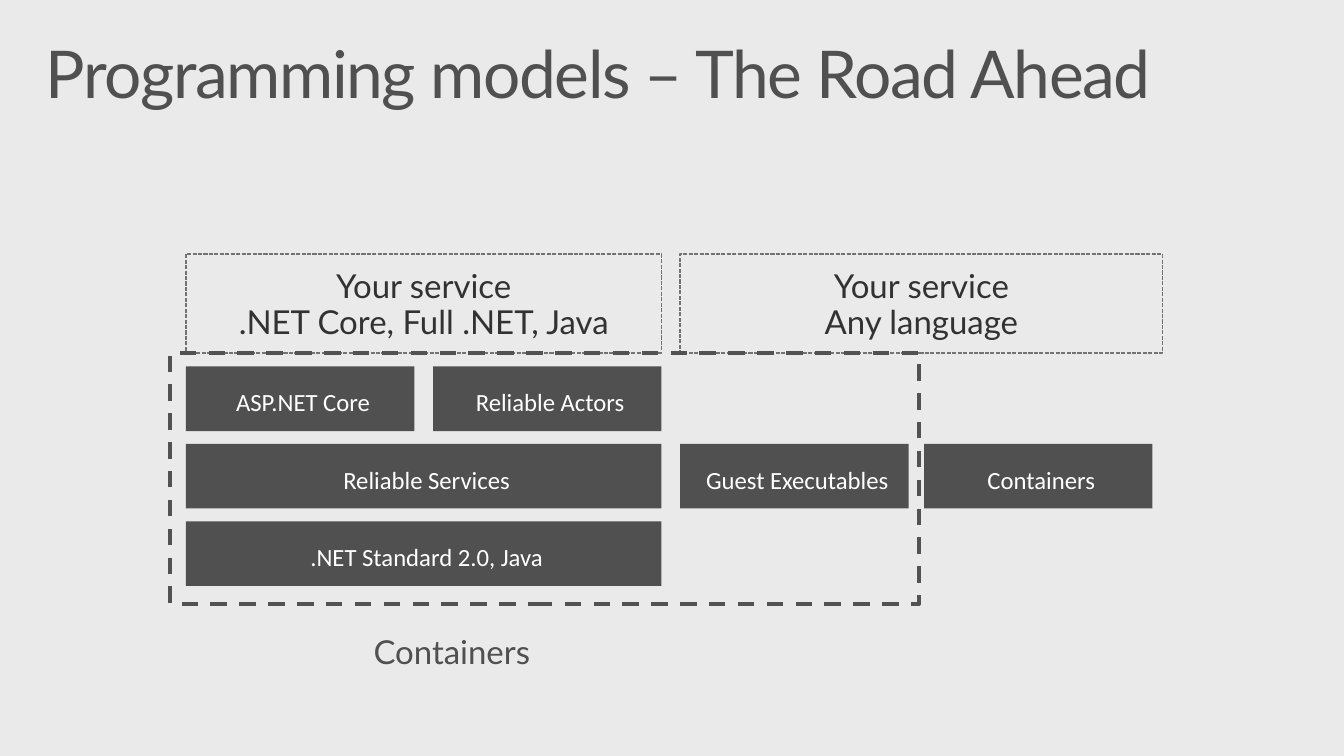
import pptx
import pptx.util
import pptx.dml.color
import pptx.enum.dml
import pptx.enum.shapes
import pptx.enum.text

Cm = pptx.util.Cm
Pt = pptx.util.Pt
ALIGN = pptx.enum.text.PP_ALIGN
ANCHOR = pptx.enum.text.MSO_ANCHOR
DASH = pptx.enum.dml.MSO_LINE

COLORS = {
    "background": "EAEAEA",
    "block": "505050",
    "block text": "FFFFFF",
    "service line": "737373",
    "service text": "323232",
    "frame line": "525252",
    "heading": "505050",
}


def rgb(name):
    return pptx.dml.color.RGBColor.from_string(COLORS[name])


def write(box, lines, font, size, color, insets, align, anchor=ANCHOR.TOP, spacing=None):
    frame = box.text_frame
    frame.word_wrap = True
    frame.vertical_anchor = anchor
    frame.margin_left, frame.margin_top, frame.margin_right, frame.margin_bottom = map(Cm, insets)
    for number, line in enumerate(lines):
        para = frame.paragraphs[0] if number == 0 else frame.add_paragraph()
        para.alignment = align
        para.line_spacing = spacing
        span = para.add_run()
        span.text = line
        span.font.name = font
        span.font.size = Pt(size)
        span.font.color.rgb = rgb(color)
    return frame


deck = pptx.Presentation()
deck.slide_width = Cm(34.54)
deck.slide_height = Cm(19.43)
page = deck.slides.add_slide(deck.slide_layouts[6])
page.background.fill.solid()
page.background.fill.fore_color.rgb = rgb("background")
RECTANGLE = pptx.enum.shapes.MSO_SHAPE.RECTANGLE

# Title, with letters set slightly closer
title = page.shapes.add_textbox(Cm(0.76), Cm(0.81), Cm(33.02), Cm(2.54))
title_frame = write(title, ["Programming models – The Road Ahead"], "Lato", 48, "heading",
                    (0.41, 0.25, 0.41, 0.25), ALIGN.LEFT, spacing=0.9)
title_frame.paragraphs[0].runs[0].font._element.set("spc", "-100")

# Grid of programming models
left, column_step, block_width = 4.78, 6.35, 5.87
top, row_step, block_height = 9.42, 1.99, 1.66
wide = column_step + block_width
guest_left = left + 2 * column_step
containers_left = 23.75

blocks = [
    ("ASP.NET Core", left, 0, block_width),
    ("Reliable Actors", left + column_step, 0, block_width),
    ("Reliable Services", left, 1, wide),
    ("Guest Executables", guest_left, 1, block_width),
    ("Containers", containers_left, 1, block_width),
    (".NET Standard 2.0, Java", left, 2, wide),
]
for label, x, row, width in blocks:
    block = page.shapes.add_shape(RECTANGLE, Cm(x), Cm(top + row * row_step),
                                  Cm(width), Cm(block_height))
    block.shadow.inherit = False
    block.fill.solid()
    block.fill.fore_color.rgb = rgb("block")
    block.line.fill.background()
    write(block, [label], "Calibri", 18, "block text", (0.25, 0.25, 0.1, 0.1),
          ALIGN.CENTER, ANCHOR.MIDDLE)

# Dashed outlines: the two services and the container frame
label_insets = (0.51, 0.41, 0.51, 0.41)
outlines = [
    (["Your service", ".NET Core, Full .NET, Java"], left, 6.53, wide, 2.54,
     "service line", 1, DASH.SQUARE_DOT),
    (["Your service", "Any language"], guest_left, 6.53, 12.4, 2.54,
     "service line", 1, DASH.SQUARE_DOT),
    ([], 4.37, 9.07, 19.25, 6.45, "frame line", 3, DASH.DASH),
]
for lines, x, y, width, height, color, weight, dash in outlines:
    outline = page.shapes.add_shape(RECTANGLE, Cm(x), Cm(y), Cm(width), Cm(height))
    outline.shadow.inherit = False
    outline.fill.background()
    outline.line.color.rgb = rgb(color)
    outline.line.width = Pt(weight)
    outline.line.dash_style = dash
    write(outline, lines, "Lato", 24, "service text", label_insets, ALIGN.CENTER, spacing=0.9)

# Caption below the container frame
caption = page.shapes.add_textbox(Cm(9.09), Cm(15.93), Cm(7.82), Cm(1.75))
caption_frame = write(caption, ["Containers"], "Lato", 24, "heading", label_insets,
                      ALIGN.LEFT, spacing=0.9)
caption_frame.auto_size = pptx.enum.text.MSO_AUTO_SIZE.SHAPE_TO_FIT_TEXT
caption_frame.paragraphs[0].space_after = Pt(6)

deck.save("out.pptx")
